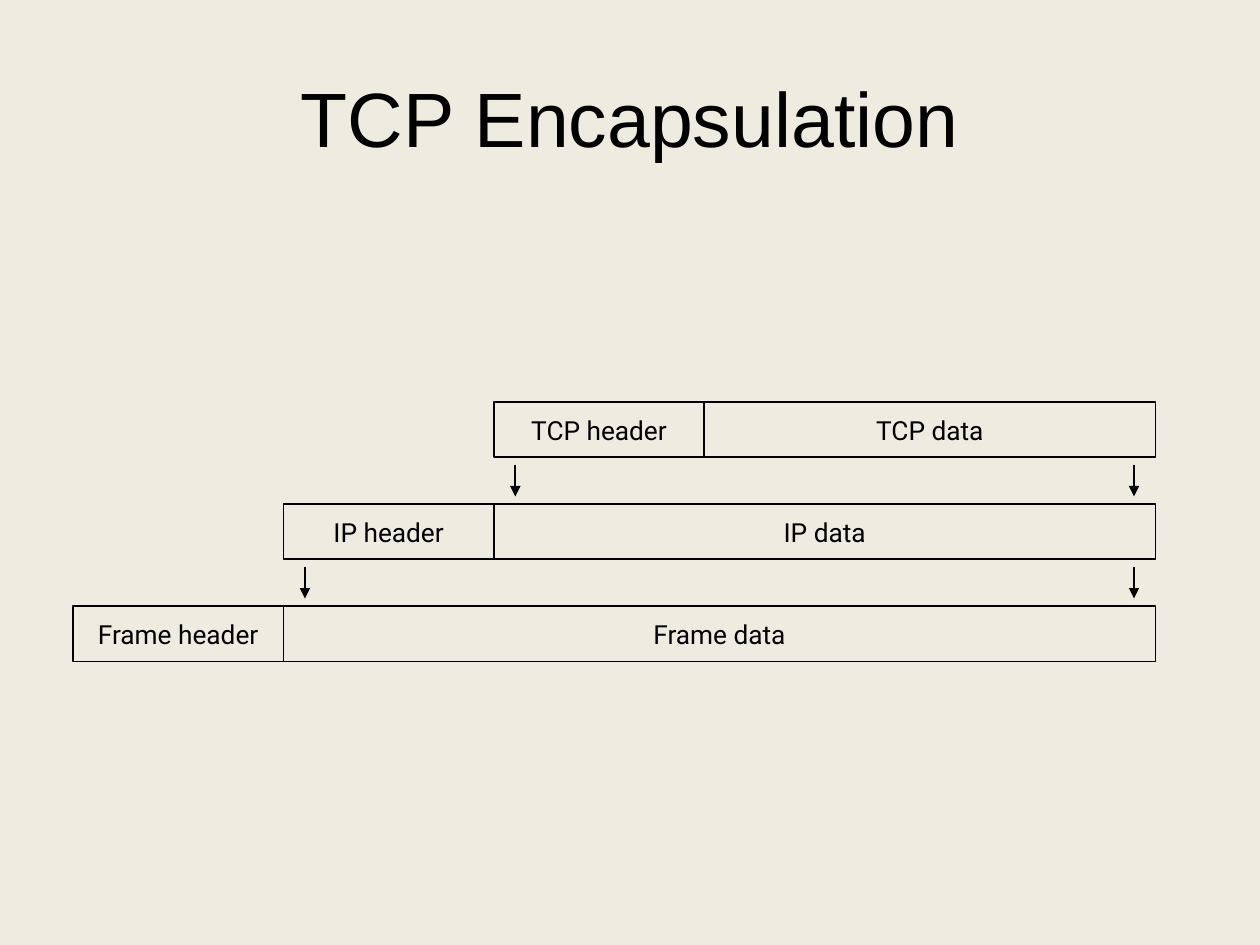
from lxml import etree
from pptx import Presentation
from pptx.dml.color import RGBColor
from pptx.enum.shapes import MSO_CONNECTOR, MSO_SHAPE
from pptx.enum.text import MSO_ANCHOR, PP_ALIGN
from pptx.oxml.ns import qn
from pptx.util import Inches, Pt

RECTANGLE = MSO_SHAPE.RECTANGLE
STRAIGHT = MSO_CONNECTOR.STRAIGHT
MIDDLE = MSO_ANCHOR.MIDDLE
CENTER = PP_ALIGN.CENTER

COLORS = {"background": "EEECE1", "ink": "000000"}

# Layers from the innermost unit to the outermost one
LAYERS = ["TCP", "IP", "Frame"]
FRAME_LEFT, RIGHT_EDGE = 0.58, 9.17
FIRST_TOP, ROW_STEP, ROW_HEIGHT = 3.19, 0.81, 0.44
HEADER_WIDTH = 1.67
ARROW_INSET, ARROW_GAP, ARROW_LENGTH = 0.17, 0.06, 0.25


def color(name):
    return RGBColor.from_string(COLORS[name])


def write_text(box, text, *, font, size, wrap):
    frame = box.text_frame
    frame.word_wrap = wrap
    frame.vertical_anchor = MIDDLE
    para = frame.paragraphs[0]
    para.alignment = CENTER
    span = para.add_run()
    span.text = text
    span.font.name = font
    span.font.size = Pt(size)
    span.font.color.rgb = color("ink")
    return frame


def add_title(page, text):
    box = page.shapes.add_textbox(Inches(0.5), Inches(0.3), Inches(9), Inches(1.25))
    write_text(box, text, font="Arial", size=44, wrap=True)


def add_field(page, text, left, top, width):
    box = page.shapes.add_shape(
        RECTANGLE, Inches(left), Inches(top), Inches(width), Inches(ROW_HEIGHT))
    box.shadow.inherit = False
    box.fill.background()
    box.line.color.rgb = color("ink")
    box.line.width = Pt(1)
    frame = write_text(box, text, font="Roboto", size=15, wrap=False)
    frame.margin_left = frame.margin_right = Inches(0.09)
    frame.margin_top = frame.margin_bottom = Inches(0.04)


def add_down_arrow(page, x, top):
    arrow = page.shapes.add_connector(
        STRAIGHT, Inches(x), Inches(top), Inches(x), Inches(top + ARROW_LENGTH))
    arrow.line.color.rgb = color("ink")
    arrow.line.width = Pt(1)
    etree.SubElement(arrow.line._get_or_add_ln(), qn("a:tailEnd"), type="triangle")
    etree.SubElement(arrow._element.spPr, qn("a:effectLst"))


def add_layer(page, name, left, top):
    data_left = left + HEADER_WIDTH
    add_field(page, f"{name} header", left, top, HEADER_WIDTH)
    add_field(page, f"{name} data", data_left, top, RIGHT_EDGE - data_left)


def main():
    deck = Presentation()
    deck.slide_width, deck.slide_height = Inches(10), Inches(7.5)
    page = deck.slides.add_slide(deck.slide_layouts[6])
    page.background.fill.solid()
    page.background.fill.fore_color.rgb = color("background")

    add_title(page, "TCP Encapsulation")

    # Each layer becomes the data of the layer below it
    last = len(LAYERS) - 1
    for index, name in enumerate(LAYERS):
        left = FRAME_LEFT + (last - index) * HEADER_WIDTH
        top = FIRST_TOP + index * ROW_STEP
        add_layer(page, name, left, top)
        if index < last:
            for x in (left + ARROW_INSET, RIGHT_EDGE - ARROW_INSET):
                add_down_arrow(page, x, top + ROW_HEIGHT + ARROW_GAP)

    deck.save("out.pptx")


if __name__ == "__main__":
    main()
